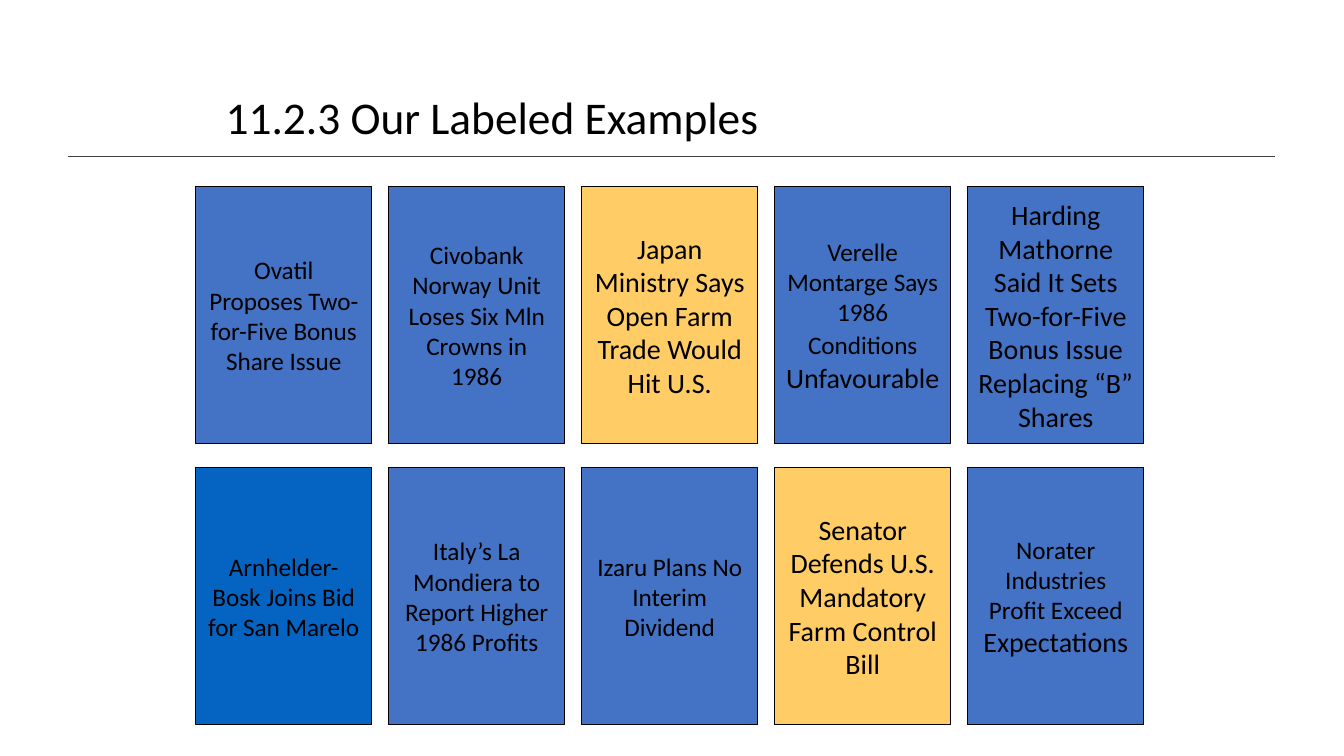
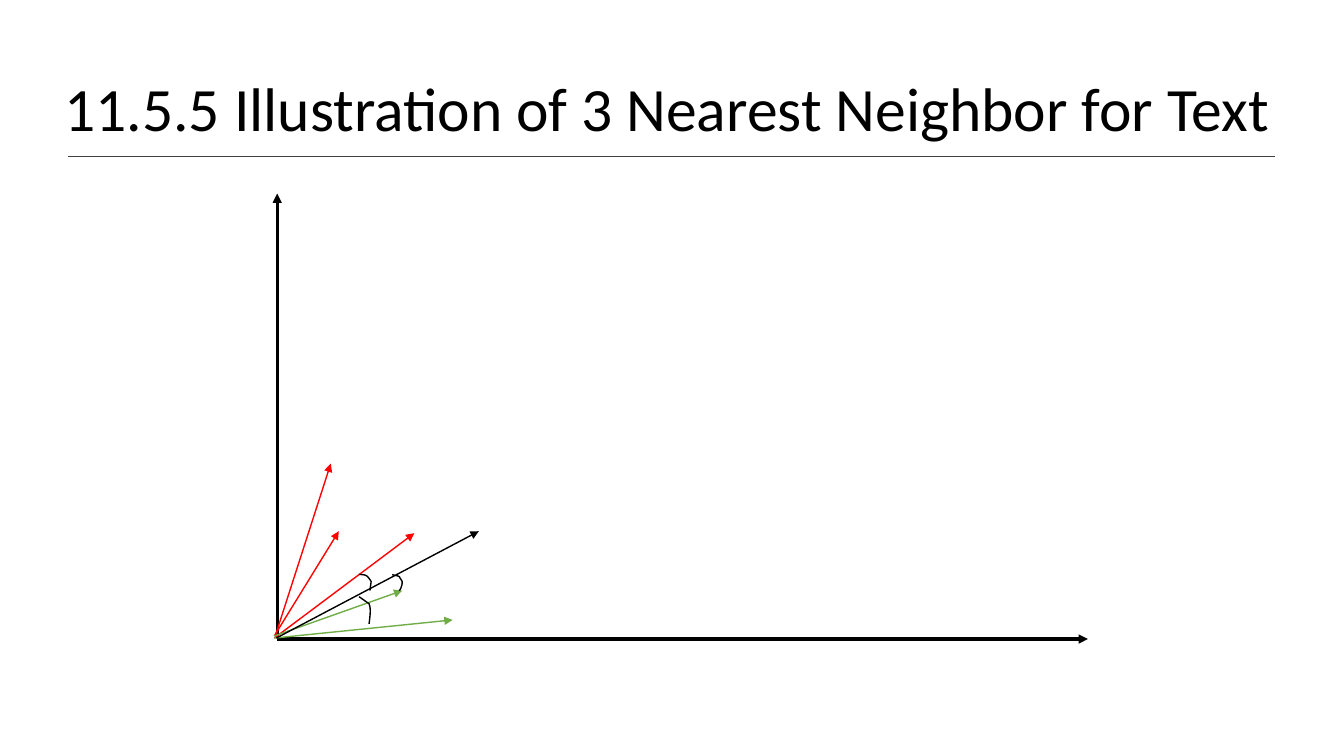
from typing import NamedTuple

import pptx
import pptx.dml.color
import pptx.enum.shapes
import pptx.enum.text
import pptx.oxml
import pptx.oxml.ns
import pptx.presentation
import pptx.shapes.connector
import pptx.slide
import pptx.text.text
import pptx.util

RGBColor = pptx.dml.color.RGBColor
BLACK = RGBColor(0x00, 0x00, 0x00)
RULE_GREY = RGBColor(0x40, 0x40, 0x40)
BLUE = RGBColor(0x44, 0x72, 0xC4)
DEEP_BLUE = RGBColor(0x05, 0x63, 0xC1)
AMBER = RGBColor(0xFF, 0xCC, 0x66)
RED = RGBColor(0xFF, 0x00, 0x00)
GREEN = RGBColor(0x70, 0xAD, 0x47)

FONT = "Calibri"
SLIDE_WIDTH = pptx.util.Inches(13.33)
SLIDE_HEIGHT = pptx.util.Inches(7.5)
BLANK_LAYOUT = 6
CURVE_STEPS = 8


class Point(NamedTuple):
    """A place on the slide, in percent of its width and height."""
    x: float
    y: float


class Area(NamedTuple):
    """A rectangle, in percent of the slide's width and height."""
    left: float
    top: float
    width: float
    height: float


class Span(NamedTuple):
    text: str
    size: float


class Card(NamedTuple):
    fill: RGBColor
    spans: tuple[Span, ...]


class Ray(NamedTuple):
    start: Point
    end: Point
    color: RGBColor
    weight: float = 1


RULE = Ray(Point(5.03, 20.67), Point(94.9, 20.67), RULE_GREY)

FIRST_CARD = Area(14.55, 24.67, 13.13, 34)
COLUMN_PITCH = 14.36
ROW_PITCH = 37.2
CARD_ROWS = (
    (
        Card(BLUE, (Span("Ovatil Proposes Two-for-Five Bonus Share Issue", 18),)),
        Card(BLUE, (Span("Civobank Norway Unit Loses Six Mln Crowns in 1986", 18),)),
        Card(AMBER, (Span("Japan Ministry Says Open Farm Trade Would Hit U.S.", 20),)),
        Card(BLUE, (Span("Verelle Montarge Says 1986 Conditions", 18),
                    Span(" Unfavourable", 20))),
        Card(BLUE, (Span("Harding Mathorne Said It Sets Two-for-Five Bonus Issue "
                         "Replacing “B” Shares", 20),)),
    ),
    (
        Card(DEEP_BLUE, (Span("Arnhelder-Bosk Joins Bid for San Marelo", 18),)),
        Card(BLUE, (Span("Italy’s La Mondiera to Report Higher 1986 Profits", 18),)),
        Card(BLUE, (Span("Izaru Plans No Interim Dividend", 18),)),
        Card(AMBER, (Span("Senator Defends U.S. Mandatory Farm Control Bill", 20),)),
        Card(BLUE, (Span("Norater Industries Profit Exceed ", 18),
                    Span("Expectations", 20))),
    ),
)

RAYS = (
    Ray(Point(20.63, 84.4), Point(20.63, 25.6), BLACK, 2.25),
    Ray(Point(20.63, 84.53), Point(80.95, 84.53), BLACK, 2.25),
    Ray(Point(20.48, 84.13), Point(24.61, 61.33), RED),
    Ray(Point(20.41, 84.13), Point(25.21, 70.27), RED),
    Ray(Point(20.41, 84.4), Point(30.83, 70.53), RED),
    Ray(Point(20.41, 84.4), Point(33.68, 82), GREEN),
    Ray(Point(20.41, 84.13), Point(29.93, 78.13), GREEN),
    Ray(Point(20.56, 84.4), Point(35.63, 70.27), BLACK),
)

# Each arc is a start point followed by three points per cubic curve.
ANGLE_ARCS = (
    (Point(26.71, 78.93),
     Point(26.96, 79.24), Point(27.21, 79.56), Point(27.46, 79.87),
     Point(27.61, 80.53), Point(27.53, 81.47), Point(27.46, 82.53)),
    (Point(26.71, 76),
     Point(26.86, 76), Point(27.08, 76), Point(27.23, 76.13),
     Point(27.38, 76.27), Point(27.53, 76.67), Point(27.61, 76.93),
     Point(27.61, 77.2), Point(27.53, 77.73), Point(27.53, 78.13)),
    (Point(29.18, 76),
     Point(29.33, 76.13), Point(29.56, 76.13), Point(29.71, 76.27),
     Point(29.78, 76.53), Point(29.86, 76.67), Point(29.93, 76.93),
     Point(29.93, 77.07), Point(29.93, 77.33), Point(29.86, 77.6),
     Point(29.86, 77.73), Point(29.78, 78), Point(29.71, 78.13)),
)


def across(percent: float) -> int:
    return round(SLIDE_WIDTH * percent / 100)


def down(percent: float) -> int:
    return round(SLIDE_HEIGHT * percent / 100)


def place(area: Area) -> tuple[int, int, int, int]:
    return across(area.left), down(area.top), across(area.width), down(area.height)


def write(frame: pptx.text.text.TextFrame, spans: tuple[Span, ...],
          align: pptx.enum.text.PP_ALIGN, line_spacing: float = 1.0) -> None:
    """Fill a frame with one vertically centred paragraph."""
    frame.word_wrap = True
    frame.vertical_anchor = pptx.enum.text.MSO_ANCHOR.MIDDLE
    para = frame.paragraphs[0]
    para.alignment = align
    para.line_spacing = line_spacing
    for span in spans:
        run = para.add_run()
        run.text = span.text
        run.font.name = FONT
        run.font.size = pptx.util.Pt(span.size)
        run.font.color.rgb = BLACK


def draw_line(page: pptx.slide.Slide, ray: Ray) -> pptx.shapes.connector.Connector:
    line = page.shapes.add_connector(
        pptx.enum.shapes.MSO_CONNECTOR.STRAIGHT,
        across(ray.start.x), down(ray.start.y), across(ray.end.x), down(ray.end.y))
    line.line.color.rgb = ray.color
    line.line.width = pptx.util.Pt(ray.weight)
    properties = line._element.spPr
    properties.append(pptx.oxml.parse_xml(
        f"<a:effectLst {pptx.oxml.ns.nsdecls('a')}/>"))
    return line


def draw_arrow(page: pptx.slide.Slide, ray: Ray) -> None:
    arrow = draw_line(page, ray)
    arrow.line._get_or_add_ln().append(pptx.oxml.parse_xml(
        f"<a:tailEnd {pptx.oxml.ns.nsdecls('a')} type='triangle'/>"))


def cubic(a: Point, b: Point, c: Point, d: Point, t: float) -> Point:
    """Give the point at share t of a Bézier curve."""
    u = 1 - t
    weights = (u ** 3, 3 * u * u * t, 3 * u * t * t, t ** 3)
    points = (a, b, c, d)
    return Point(sum(w * p.x for w, p in zip(weights, points)),
                 sum(w * p.y for w, p in zip(weights, points)))


def draw_arc(page: pptx.slide.Slide, knots: tuple[Point, ...]) -> None:
    trace = [cubic(*knots[first:first + 4], step / CURVE_STEPS)
             for first in range(0, len(knots) - 1, 3)
             for step in range(1, CURVE_STEPS + 1)]
    builder = page.shapes.build_freeform(across(knots[0].x), down(knots[0].y))
    builder.add_line_segments([(across(p.x), down(p.y)) for p in trace], close=False)
    arc = builder.convert_to_shape()
    arc.shadow.inherit = False
    arc.fill.background()
    arc.line.color.rgb = BLACK
    arc.line.width = pptx.util.Pt(1)


def draw_card(page: pptx.slide.Slide, card: Card, column: int, row: int) -> None:
    area = FIRST_CARD._replace(left=FIRST_CARD.left + column * COLUMN_PITCH,
                               top=FIRST_CARD.top + row * ROW_PITCH)
    box = page.shapes.add_shape(pptx.enum.shapes.MSO_SHAPE.RECTANGLE, *place(area))
    box.shadow.inherit = False
    box.fill.solid()
    box.fill.fore_color.rgb = card.fill
    box.line.color.rgb = BLACK
    box.line.width = pptx.util.Pt(0.75)
    write(box.text_frame, card.spans, pptx.enum.text.PP_ALIGN.CENTER)


def add_page(deck: pptx.presentation.Presentation, title: Span,
             area: Area) -> pptx.slide.Slide:
    """Add a slide with its title and the rule below it."""
    page = deck.slides.add_slide(deck.slide_layouts[BLANK_LAYOUT])
    draw_line(page, RULE)
    box = page.shapes.add_textbox(*place(area))
    write(box.text_frame, (title,), pptx.enum.text.PP_ALIGN.LEFT, 0.9)
    return page


def add_examples_page(deck: pptx.presentation.Presentation) -> None:
    page = add_page(deck, Span("11.2.3 Our Labeled Examples", 32.4),
                    Area(16.05, 12.4, 60.24, 6.8))
    for row, cards in enumerate(CARD_ROWS):
        for column, card in enumerate(cards):
            draw_card(page, card, column, row)


def add_neighbor_page(deck: pptx.presentation.Presentation) -> None:
    page = add_page(deck, Span("11.5.5 Illustration of 3 Nearest Neighbor for Text", 44),
                    Area(4.05, 9.33, 93.17, 10.8))
    for ray in RAYS:
        draw_arrow(page, ray)
    for knots in ANGLE_ARCS:
        draw_arc(page, knots)


def main() -> None:
    deck = pptx.Presentation()
    deck.slide_width = SLIDE_WIDTH
    deck.slide_height = SLIDE_HEIGHT
    add_examples_page(deck)
    add_neighbor_page(deck)
    deck.save("out.pptx")


if __name__ == "__main__":
    main()
